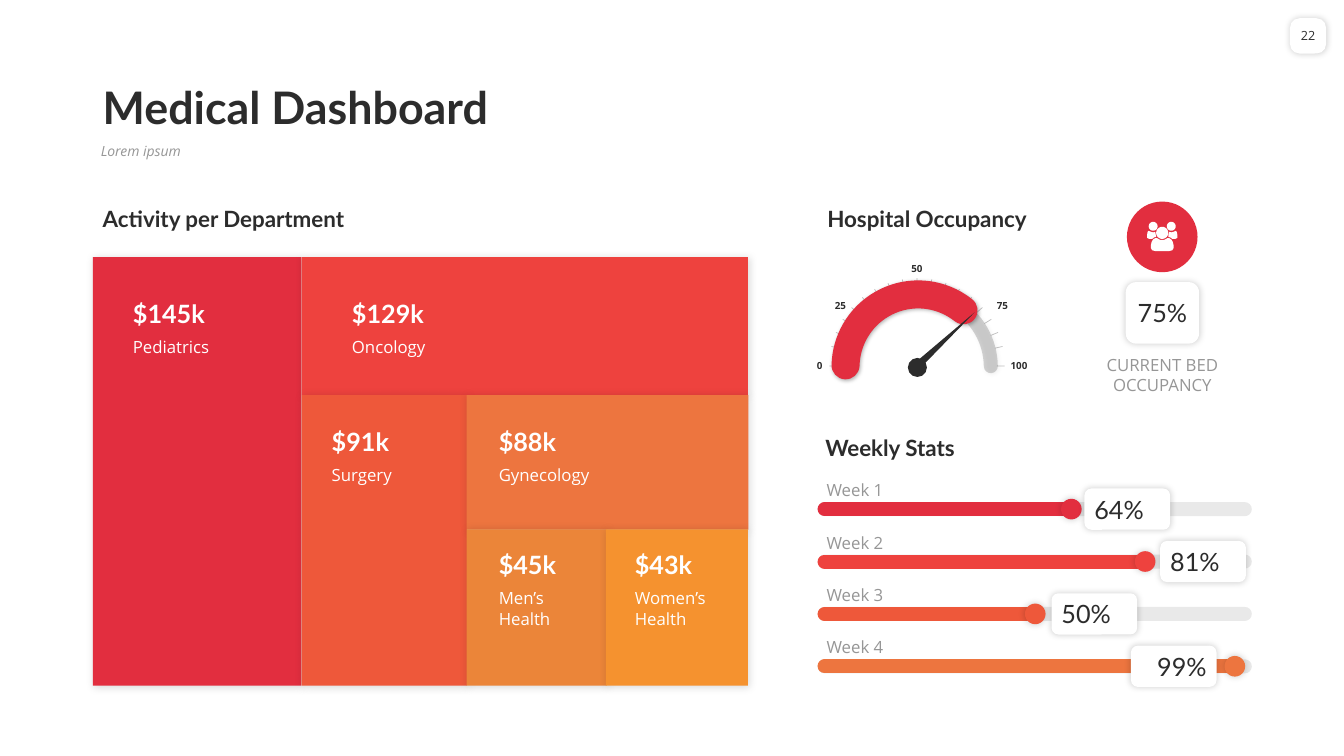
from math import cos, radians, sin

from lxml import etree
from pptx import Presentation
from pptx.dml.color import RGBColor
from pptx.enum.shapes import MSO_CONNECTOR, MSO_SHAPE
from pptx.enum.text import MSO_ANCHOR, PP_ALIGN
from pptx.oxml.ns import qn
from pptx.util import Cm, Pt

RECTANGLE, ROUNDED = MSO_SHAPE.RECTANGLE, MSO_SHAPE.ROUNDED_RECTANGLE
OVAL, ARC, TRIANGLE = MSO_SHAPE.OVAL, MSO_SHAPE.ARC, MSO_SHAPE.ISOSCELES_TRIANGLE
STRAIGHT = MSO_CONNECTOR.STRAIGHT
TOP, MIDDLE, BOTTOM = MSO_ANCHOR.TOP, MSO_ANCHOR.MIDDLE, MSO_ANCHOR.BOTTOM
LEFT, CENTER, RIGHT = PP_ALIGN.LEFT, PP_ALIGN.CENTER, PP_ALIGN.RIGHT

HEADING_FONT, BODY_FONT = "Lato", "Open Sans"
COLORS = {
    "ink": "2C2C2C", "gray": "969696", "white": "FFFFFF", "black": "000000",
    "crimson": "E22E3F", "red": "EE423E", "vermilion": "EE583A",
    "coral": "ED753F", "amber": "EB8539", "orange": "F5922F",
}
# Shadows: opacity %, blur pt, distance pt
TILE_SHADOW, BADGE_SHADOW, ARC_SHADOW = (15, 6, 1), (20, 5, 0), (30, 3, 1)

# Amount, department, colour, tile box, label offset and width (cm)
DEPARTMENTS = [
    ("$145k", "Pediatrics", "crimson", (0, 0, 5.26, 10.8), (0.76, 0.91, 4.72)),
    ("$129k", "Oncology", "red", (5.26, 0, 11.25, 3.48), (1.02, 0.91, 4.72)),
    ("$91k", "Surgery", "vermilion", (5.26, 3.48, 4.17, 7.32), (0.51, 0.66, 3.28)),
    ("$88k", "Gynecology", "coral", (9.42, 3.48, 7.1, 3.39), (0.56, 0.66, 5.31)),
    ("$45k", "Men’s Health", "amber", (9.42, 6.86, 3.53, 3.94), (0.56, 0.38, 2.67)),
    ("$43k", "Women’s Health", "orange", (12.93, 6.86, 3.58, 3.94), (0.48, 0.38, 2.67)),
]
# Value, colour, knob centre and badge left from the track start (cm), alignment
WEEKS = [
    ("64%", "crimson", 6.22, 6.55, LEFT),
    ("81%", "red", 8.08, 8.46, LEFT),
    ("50%", "vermilion", 5.31, 5.72, LEFT),
    ("99%", "coral", 10.34, 7.72, RIGHT),
]


def color(name):
    return RGBColor.from_string(COLORS[name])


def write(shape, text, size, name="ink", font=BODY_FONT, bold=False, italic=False,
          align=LEFT, anchor=TOP, wrap=True, side_inset=0.25, spacing=None):
    frame = shape.text_frame
    frame.word_wrap = wrap
    frame.vertical_anchor = anchor
    frame.margin_left = frame.margin_right = Cm(side_inset)
    frame.margin_top = frame.margin_bottom = Cm(0.13)
    paragraph = frame.paragraphs[0]
    paragraph.alignment = align
    if spacing:
        paragraph.line_spacing = spacing
    run = paragraph.add_run()
    run.text = text
    run.font.size = Pt(size)
    run.font.name = font
    run.font.bold = bold
    run.font.italic = italic
    run.font.color.rgb = color(name)


def add_text(slide, box, text, size, **style):
    write(slide.shapes.add_textbox(*map(Cm, box)), text, size, **style)


def add_heading(slide, left, top, text):
    add_text(slide, (left, top, 11.02, 0.94), text, 16, font=HEADING_FONT,
             bold=True, anchor=BOTTOM)


def add_shadow(shape, shadow):
    opacity, blur, distance = shadow
    effects = shape._element.spPr.find(qn("a:effectLst"))
    outer = etree.SubElement(effects, qn("a:outerShdw"), blurRad=str(Pt(blur)),
                             dist=str(Pt(distance)), dir="2700000", algn="tl")
    tint = etree.SubElement(outer, qn("a:srgbClr"), val=COLORS["black"])
    etree.SubElement(tint, qn("a:alpha"), val=str(opacity * 1000))


def add_filled(slide, kind, box, name, shadow=None):
    shape = slide.shapes.add_shape(kind, *map(Cm, box))
    shape.shadow.inherit = False
    shape.fill.solid()
    shape.fill.fore_color.rgb = color(name)
    shape.line.fill.background()
    if shadow:
        add_shadow(shape, shadow)
    return shape


def style_line(shape, name, width, opacity=100, rounded=False):
    shape.line.color.rgb = color(name)
    shape.line.width = Pt(width)
    outline = shape.line._get_or_add_ln()
    if opacity < 100:
        tint = outline.find(".//" + qn("a:srgbClr"))
        etree.SubElement(tint, qn("a:alpha"), val=str(opacity * 1000))
    if rounded:
        outline.set("cap", "rnd")


def add_line(slide, points, name, width, **style):
    line = slide.shapes.add_connector(STRAIGHT, *map(Cm, points))
    style_line(line, name, width, **style)
    etree.SubElement(line._element.spPr, qn("a:effectLst"))


def add_badge(slide, box, text, align, side_inset):
    badge = add_filled(slide, ROUNDED, box, "white", BADGE_SHADOW)
    write(badge, text, 18, font=HEADING_FONT, align=align, anchor=MIDDLE,
          side_inset=side_inset)


def add_header(slide, left, top):
    add_text(slide, (left, top, 29.21, 2.03), "Medical Dashboard", 32,
             font=HEADING_FONT, bold=True, anchor=BOTTOM, spacing=0.9)
    add_text(slide, (left - 0.05, top + 2.03, 29.26, 0.91), "Lorem ipsum", 10,
             name="gray", italic=True, spacing=0.9)
    number = add_filled(slide, ROUNDED, (32.51, 0.46, 0.91, 0.89), "white", BADGE_SHADOW)
    number.adjustments[0] = 0.27
    write(number, "22", 9, align=CENTER, anchor=MIDDLE, wrap=False, side_inset=0)


def add_treemap(slide, left, top):
    add_heading(slide, left, top - 1.45, "Activity per Department")
    for amount, department, name, (x, y, width, height), label in DEPARTMENTS:
        add_filled(slide, RECTANGLE, (left + x, top + y, width, height), name, TILE_SHADOW)
        text_left, text_top = left + x + label[0], top + y + label[1]
        add_text(slide, (text_left, text_top, label[2], 1.02), amount, 18,
                 name="white", font=HEADING_FONT, bold=True, anchor=BOTTOM)
        add_text(slide, (text_left, text_top + 0.97, label[2], 0.76), department, 12,
                 name="white")


def add_arc(slide, box, start, end, name, width, opacity):
    arc = slide.shapes.add_shape(ARC, *map(Cm, box))
    arc.shadow.inherit = False
    arc.adjustments[0], arc.adjustments[1] = start * 0.6, end * 0.6  # degrees
    arc.fill.background()
    style_line(arc, name, width, opacity=opacity, rounded=True)
    add_shadow(arc, ARC_SHADOW)


def add_gauge(slide, center_x, center_y):
    dial = (center_x - 1.8, center_y - 1.8, 3.66, 3.66)
    add_arc(slide, dial, 179.48, 359.3, "ink", 10, 20)
    add_filled(slide, OVAL, (center_x - 0.23, center_y - 0.2, 0.48, 0.48), "ink")
    # Scale marks
    steps = [9.65 * step for step in range(-8, 9)]
    for angle in [-90, *steps, 90]:
        x, y = sin(radians(angle)), -cos(radians(angle))
        add_line(slide, (center_x + 2.21 * x, center_y + 2.21 * y,
                         center_x + 2.01 * x, center_y + 2.01 * y), "ink", 0.5, opacity=30)
    labels = [
        ("0", -2.79, -0.28, 0.66, RIGHT, MIDDLE), ("25", -2.33, -1.8, 0.79, RIGHT, MIDDLE),
        ("50", -0.4, -2.74, 0.79, RIGHT, BOTTOM), ("75", 1.76, -1.8, 0.79, LEFT, MIDDLE),
        ("100", 2.11, -0.28, 1.14, LEFT, MIDDLE),
    ]
    for text, x, y, width, align, anchor in labels:
        add_text(slide, (center_x + x, center_y + y, width, 0.56), text, 7, bold=True,
                 align=align, anchor=anchor, wrap=text == "100")
    add_arc(slide, dial, 181.33, 308.66, "crimson", 20, 100)
    needle = add_filled(slide, TRIANGLE, (center_x + 0.59, center_y - 1.68, 0.2, 2.08), "ink")
    needle.rotation = 47


def add_people_icon(slide, center_x, center_y):
    def mirrored(points):
        return [(-x, y) for x, y in reversed(points)]

    def head(x, y, radius):
        return [(x + radius * cos(radians(angle)), y + radius * sin(radians(angle)))
                for angle in range(0, 360, 15)]

    side = [(-6, 0), (-8, 0.5), (-10, 2), (-13, 2), (-15, 1), (-15, -2), (-14.5, -5),
            (-13.5, -6), (-11, -5), (-9, -4.5), (-7, -5), (-6.5, -3)]
    half = [(-2, 3), (-5, 1.3), (-7, 1.3), (-9, 2.5), (-10.5, 5), (-11.3, 8.5),
            (-11.3, 11), (-10, 13.3), (-7, 14)]
    contours = [side, mirrored(side), half + mirrored(half),
                head(-9, -10.5, 4.4), head(9, -10.5, 4.4), head(0, -4, 6)]
    builder = None
    for contour in contours:
        # Hundredths of the icon's unit keep the curves smooth
        points = [(round(100 * x), round(100 * y)) for x, y in contour]
        if builder is None:
            builder = slide.shapes.build_freeform(*points[0], scale=Cm(0.0254) / 100)
        else:
            builder.move_to(*points[0])
        builder.add_line_segments(points[1:], close=True)
    icon = builder.convert_to_shape(Cm(center_x), Cm(center_y))
    icon.shadow.inherit = False
    icon.fill.solid()
    icon.fill.fore_color.rgb = color("white")
    icon.line.fill.background()


def add_occupancy(slide, left, top):
    add_heading(slide, left, top, "Hospital Occupancy")
    add_gauge(slide, left + 2.51, top + 4.19)
    # Current bed occupancy
    add_badge(slide, (left + 7.77, top + 2.08, 1.85, 1.55), "75%", CENTER, 0)
    add_text(slide, (left + 6.83, top + 3.78, 3.73, 1.27), "CURRENT BED OCCUPANCY", 12,
             name="gray", align=CENTER, side_inset=0.1)
    add_filled(slide, OVAL, (left + 7.8, top + 0.05, 1.78, 1.78), "crimson")
    add_people_icon(slide, left + 8.69, top + 0.94)


def add_weekly_stats(slide, left, top):
    add_heading(slide, left, top, "Weekly Stats")
    track = left + 0.23
    for index, (value, name, knob, badge, align) in enumerate(WEEKS):
        y = top + 2.03 + 1.32 * index
        add_text(slide, (left + 0.03, y - 0.86, 4.93, 0.76), f"Week {index + 1}", 12,
                 name="gray", anchor=BOTTOM)
        add_line(slide, (track, y, track + 10.59, y), "ink", 10, opacity=10, rounded=True)
        add_line(slide, (track, y, track + knob, y), name, 10, rounded=True)
        add_filled(slide, OVAL, (track + knob - 0.26, y - 0.26, 0.52, 0.52), name,
                   BADGE_SHADOW)
        add_badge(slide, (track + badge, y - 0.52, 2.16, 1.04), value, align, 0.2)


def main():
    presentation = Presentation()
    presentation.slide_width, presentation.slide_height = Cm(33.87), Cm(19.05)
    slide = presentation.slides.add_slide(presentation.slide_layouts[6])
    add_header(slide, 2.34, 1.47)
    add_treemap(slide, 2.34, 6.48)
    add_occupancy(slide, 20.6, 5.03)
    add_weekly_stats(slide, 20.55, 10.8)
    presentation.save("out.pptx")


if __name__ == "__main__":
    main()
